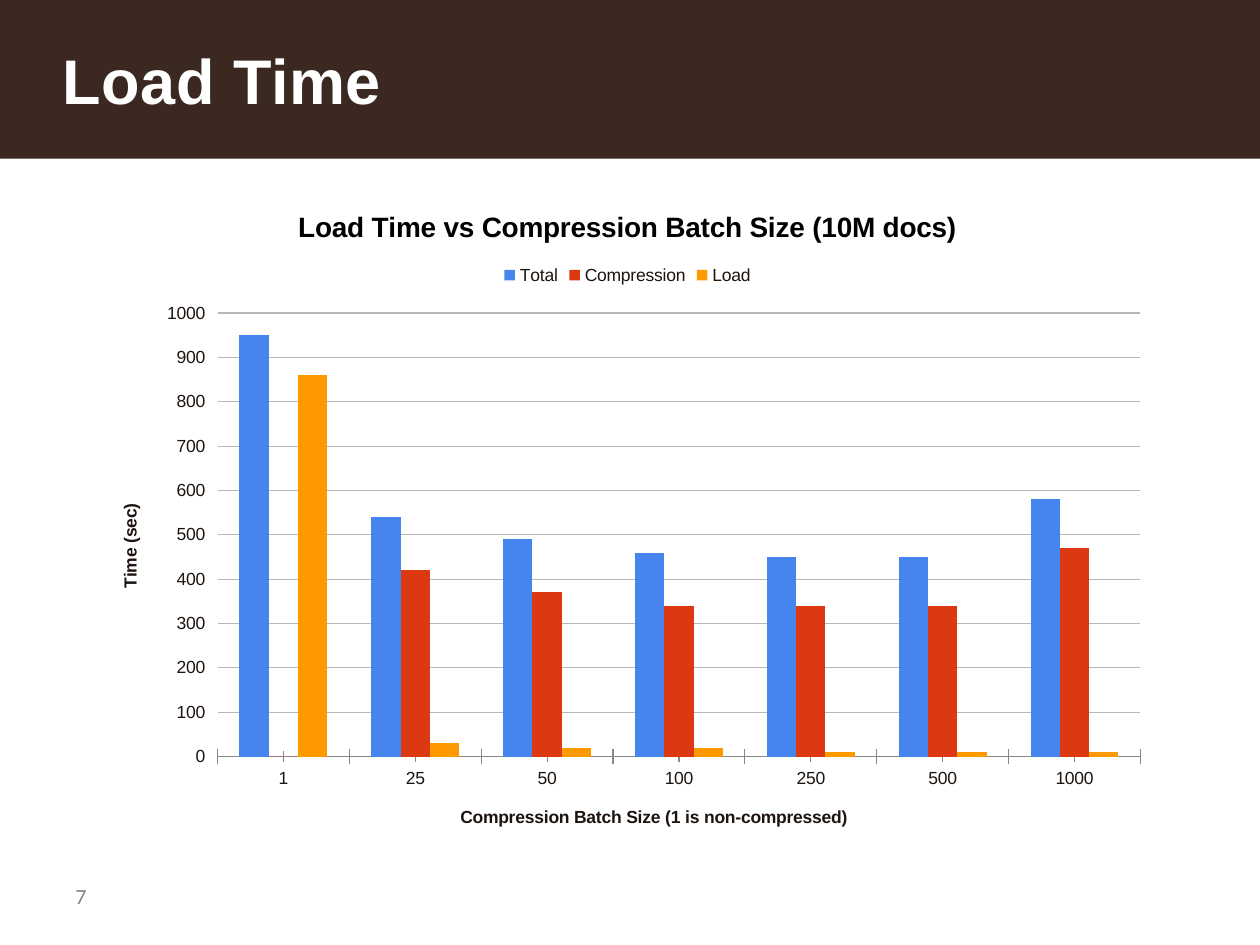
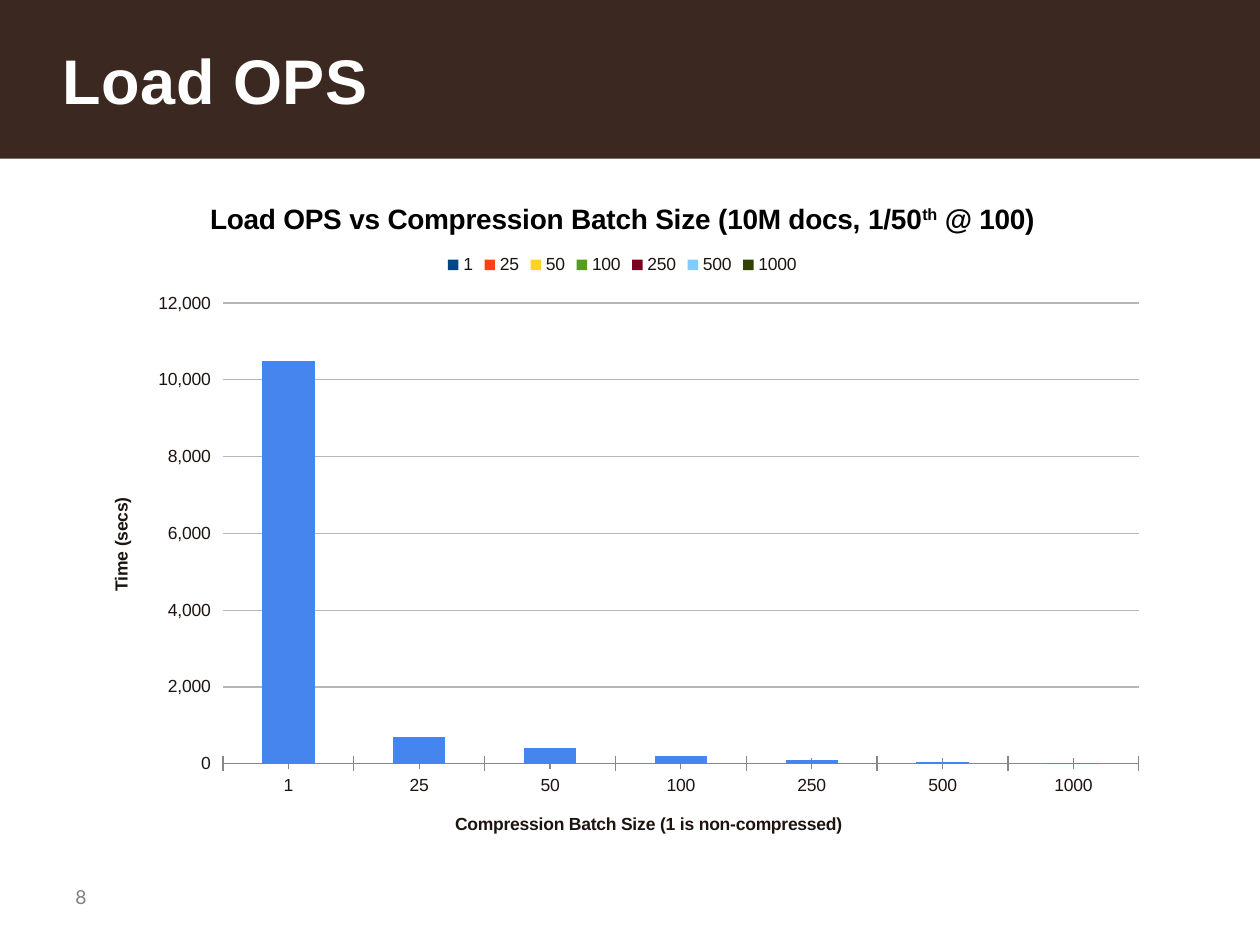
from pptx import Presentation
from pptx.chart.data import CategoryChartData
from pptx.dml.color import RGBColor
from pptx.enum.chart import XL_CHART_TYPE as ChartType, XL_LEGEND_POSITION as LegendAt
from pptx.enum.chart import XL_TICK_MARK as Tick
from pptx.enum.shapes import MSO_SHAPE as Shape
from pptx.enum.text import MSO_ANCHOR as Anchor
from pptx.util import Cm, Pt

BROWN = RGBColor(0x3B, 0x29, 0x21)
WHITE = RGBColor(0xFF, 0xFF, 0xFF)
BLACK = RGBColor(0x00, 0x00, 0x00)
INK = RGBColor(0x1D, 0x14, 0x10)
GRAY = RGBColor(0x7F, 0x7F, 0x7F)
AXIS_GRAY = RGBColor(0x87, 0x87, 0x87)
GRID_GRAY = RGBColor(0xB7, 0xB7, 0xB7)
BLUE = RGBColor(0x46, 0x84, 0xEE)
RED = RGBColor(0xDC, 0x39, 0x12)
ORANGE = RGBColor(0xFF, 0x99, 0x00)

BATCH_SIZES = ["1", "25", "50", "100", "250", "500", "1000"]
BATCH_TITLE = "Compression Batch Size (1 is non-compressed)"


class Deck:
    font = "Arial"
    number_font = "Lato"
    margin = Cm(1.27)
    band_height = Cm(3.2)

    def __init__(self, first_number):
        self.prs = Presentation()
        self.prs.slide_width, self.prs.slide_height = Cm(25.4), Cm(19.05)
        self.number = first_number
        self.slide = None

    def style(self, font, size, color, bold=False, name=None):
        font.name, font.size, font.bold = name or self.font, Pt(size), bold
        font.color.rgb = color

    def add_slide(self, title):
        self.slide = self.prs.slides.add_slide(self.prs.slide_layouts[6])
        self.band()
        self.title(title)
        self.page_number()

    def band(self):
        band = self.slide.shapes.add_shape(
            Shape.RECTANGLE, 0, 0, self.prs.slide_width, self.band_height)
        band.shadow.inherit = False
        band.fill.solid()
        band.fill.fore_color.rgb = BROWN
        band.line.fill.background()

    def title(self, text):
        width = self.prs.slide_width - 2 * self.margin
        frame = self.slide.shapes.add_textbox(
            self.margin, 0, width, self.band_height).text_frame
        frame.word_wrap = True
        frame.vertical_anchor = Anchor.MIDDLE
        frame.margin_left = frame.margin_right = 0
        frame.margin_top = frame.margin_bottom = 0
        heading = frame.paragraphs[0]
        self.style(heading.font, 36, WHITE, bold=True)
        run = heading.add_run()
        run.text = text
        run._r.get_or_add_rPr().set("spc", "30")  # slightly open letters

    def page_number(self):
        frame = self.slide.shapes.add_textbox(
            self.margin, Cm(17.73), Cm(5.94), Cm(0.71)).text_frame
        frame.word_wrap = True
        frame.text = str(self.number)
        self.style(frame.paragraphs[0].font, 11, GRAY, name=self.number_font)
        self.number += 1

    def column_chart(self, box, title_parts, value_title, series,
                     number_format="General", vary=False):
        """series: (name, values, color); odd title parts are raised."""
        data = CategoryChartData(number_format=number_format)
        data.categories = BATCH_SIZES
        for name, values, _ in series:
            data.add_series(name, values)
        chart = self.slide.shapes.add_chart(
            ChartType.COLUMN_CLUSTERED, *map(Cm, box), data).chart
        self.style(chart.font, 10, INK)

        # Title and legend
        heading = chart.chart_title.text_frame.paragraphs[0]
        self.style(heading.font, 16, BLACK, bold=True)
        for index, part in enumerate(title_parts):
            run = heading.add_run()
            run.text = part
            if index % 2:
                run._r.get_or_add_rPr().set("baseline", "30000")
        chart.has_legend = True
        chart.legend.position = LegendAt.TOP
        chart.legend.include_in_layout = False

        # Columns
        plot = chart.plots[0]
        plot.gap_width = 150
        plot.vary_by_categories = vary
        for columns, (_, _, color) in zip(plot.series, series):
            columns.format.fill.solid()
            columns.format.fill.fore_color.rgb = color

        # Axes
        batches, times = chart.category_axis, chart.value_axis
        for axis, text in ((batches, BATCH_TITLE), (times, value_title)):
            axis.major_tick_mark = axis.minor_tick_mark = Tick.CROSS
            frame = axis.axis_title.text_frame
            frame.text = text
            self.style(frame.paragraphs[0].font, 10, INK, bold=True)
        batches.format.line.color.rgb = AXIS_GRAY
        batches.format.line.width = Pt(0.75)
        times.format.line.fill.background()
        times.tick_labels.number_format = number_format
        times.tick_labels.number_format_is_linked = False
        grid = times.major_gridlines.format.line
        grid.color.rgb, grid.width = GRID_GRAY, Pt(0.75)


def main():
    deck = Deck(first_number=7)

    # Load time
    deck.add_slide("Load Time")
    deck.column_chart(
        (1.88, 3.71, 21.54, 13.49),
        ["Load Time vs Compression Batch Size (10M docs)"], "Time (sec)",
        [("Total", (950, 540, 490, 460, 450, 450, 580), BLUE),
         ("Compression", (0, 420, 370, 340, 340, 340, 470), RED),
         ("Load", (860, 30, 20, 20, 10, 10, 10), ORANGE)])

    # Load operations
    deck.add_slide("Load OPS")
    deck.column_chart(
        (1.7, 3.58, 21.69, 13.77),
        ["Load OPS vs Compression Batch Size (10M docs, 1/50", "th", " @ 100)"],
        "Time (secs)",
        [("OPS", (10500, 700, 400, 200, 100, 40, 20), BLUE)],
        number_format="#,##0", vary=True)

    deck.prs.save("out.pptx")


if __name__ == "__main__":
    main()
